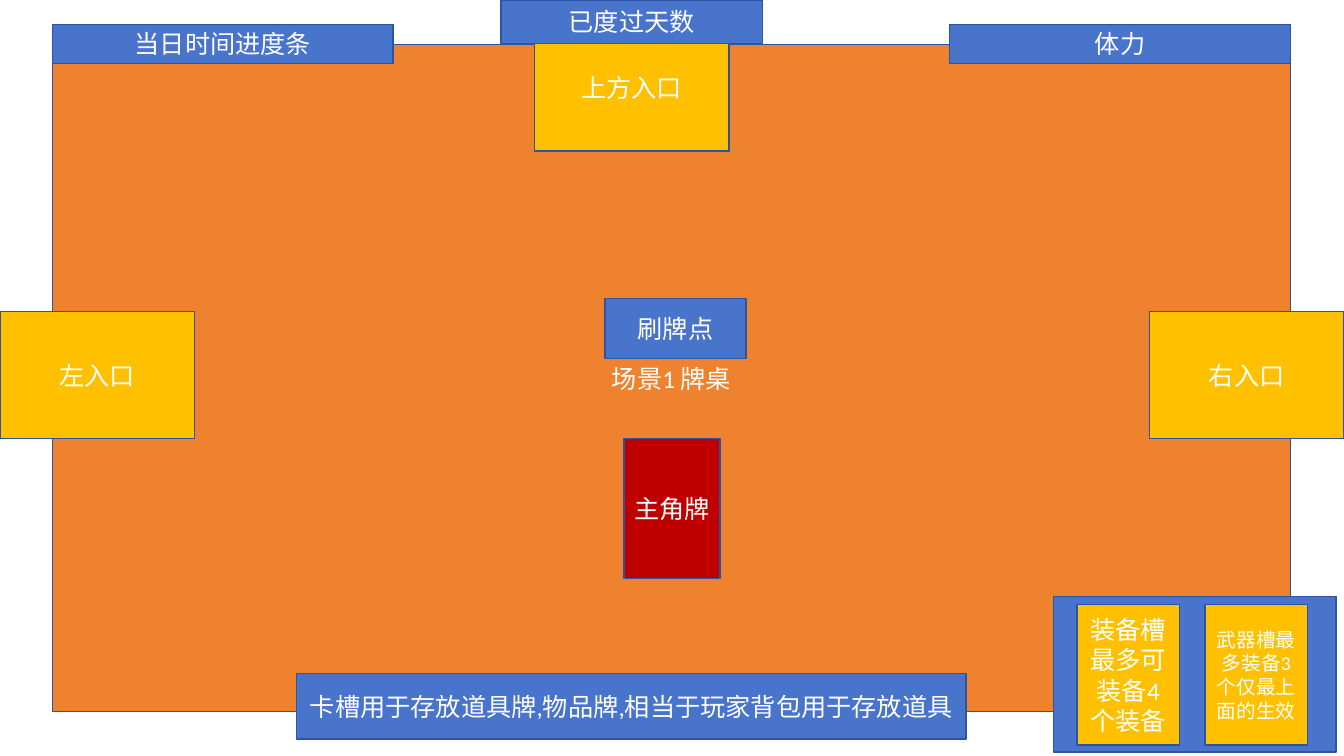
from pptx import Presentation
from pptx.dml.color import RGBColor
from pptx.enum.shapes import MSO_SHAPE as SHAPE
from pptx.enum.text import MSO_ANCHOR as ANCHOR, PP_ALIGN as ALIGN
from pptx.util import Inches, Pt

SLIDE_W, SLIDE_H = 13.33, 7.5
FONT = "Calibri"
COLORS = {
    "table": "EE822F",
    "panel": "4874CB",
    "slot": "FFC000",
    "hero": "C00000",
    "line": "2E54A1",
    "text": "FFFFFF",
}

# Sizes shared by several boxes: width, height
ENTRANCE = (1.93, 1.26)
STATUS_BAR = (3.38, 0.39)
GEAR_SLOT = (1.02, 1.39)

TABLE_LEFT, TABLE_W = 0.52, 12.28
TABLE_RIGHT = TABLE_LEFT + TABLE_W
BAR_TOP, SIDE_TOP, GEAR_TOP = 0.24, 3.09, 6.0

# Back to front: text, fill, (left, top), (width, height), font size
BOXES = [
    ("场景1 牌桌", "table", (TABLE_LEFT, 0.44), (TABLE_W, 6.62), 18),
    ("卡槽用于存放道具牌,物品牌,相当于玩家背包用于存放道具", "panel",
     (2.94, 6.68), (6.64, 0.65), 18),
    ("主角牌", "hero", (6.19, 4.35), (0.95, 1.39), 18),
    ("当日时间进度条", "panel", (TABLE_LEFT, BAR_TOP), STATUS_BAR, 18),
    ("左入口", "slot", (0, SIDE_TOP), ENTRANCE, 18),
    ("右入口", "slot", (SLIDE_W - ENTRANCE[0], SIDE_TOP), ENTRANCE, 18),
    ("上方入口", "slot", (5.3, BAR_TOP), ENTRANCE, 18),
    ("已度过天数", "panel", (4.97, 0), (2.59, 0.43), 18),
    ("刷牌点", "panel", (6, 2.96), (1.4, 0.6), 18),
    ("", "panel", (10.45, 5.92), (2.8, 1.54), 18),
    ("装备槽最多可装备4个装备", "slot", (10.68, GEAR_TOP), GEAR_SLOT, 18),
    ("武器槽最多装备3个仅最上面的生效", "slot", (11.95, GEAR_TOP), GEAR_SLOT, 14),
    ("体力", "panel", (TABLE_RIGHT - STATUS_BAR[0], BAR_TOP), STATUS_BAR, 18),
]
PROCESS_BOXES = {"已度过天数"}


def rgb(name):
    return RGBColor.from_string(COLORS[name])


def add_box(slide, text, fill, pos, size, font_size):
    kind = SHAPE.FLOWCHART_PROCESS if text in PROCESS_BOXES else SHAPE.RECTANGLE
    s = slide.shapes.add_shape(kind, *(Inches(v) for v in pos + size))
    s.shadow.inherit = False
    s.fill.solid()
    s.fill.fore_color.rgb = rgb(fill)
    s.line.color.rgb = rgb("line")
    s.line.width = Pt(1)
    if not text:
        return
    tf = s.text_frame
    tf.word_wrap = True
    tf.vertical_anchor = ANCHOR.MIDDLE
    p = tf.paragraphs[0]
    p.alignment = ALIGN.CENTER
    r = p.add_run()
    r.text = text
    r.font.name = FONT
    r.font.size = Pt(font_size)
    r.font.color.rgb = rgb("text")


def main():
    prs = Presentation()
    prs.slide_width, prs.slide_height = Inches(SLIDE_W), Inches(SLIDE_H)
    slide = prs.slides.add_slide(prs.slide_layouts.get_by_name("Blank"))
    for box in BOXES:
        add_box(slide, *box)
    prs.save("out.pptx")


if __name__ == "__main__":
    main()
